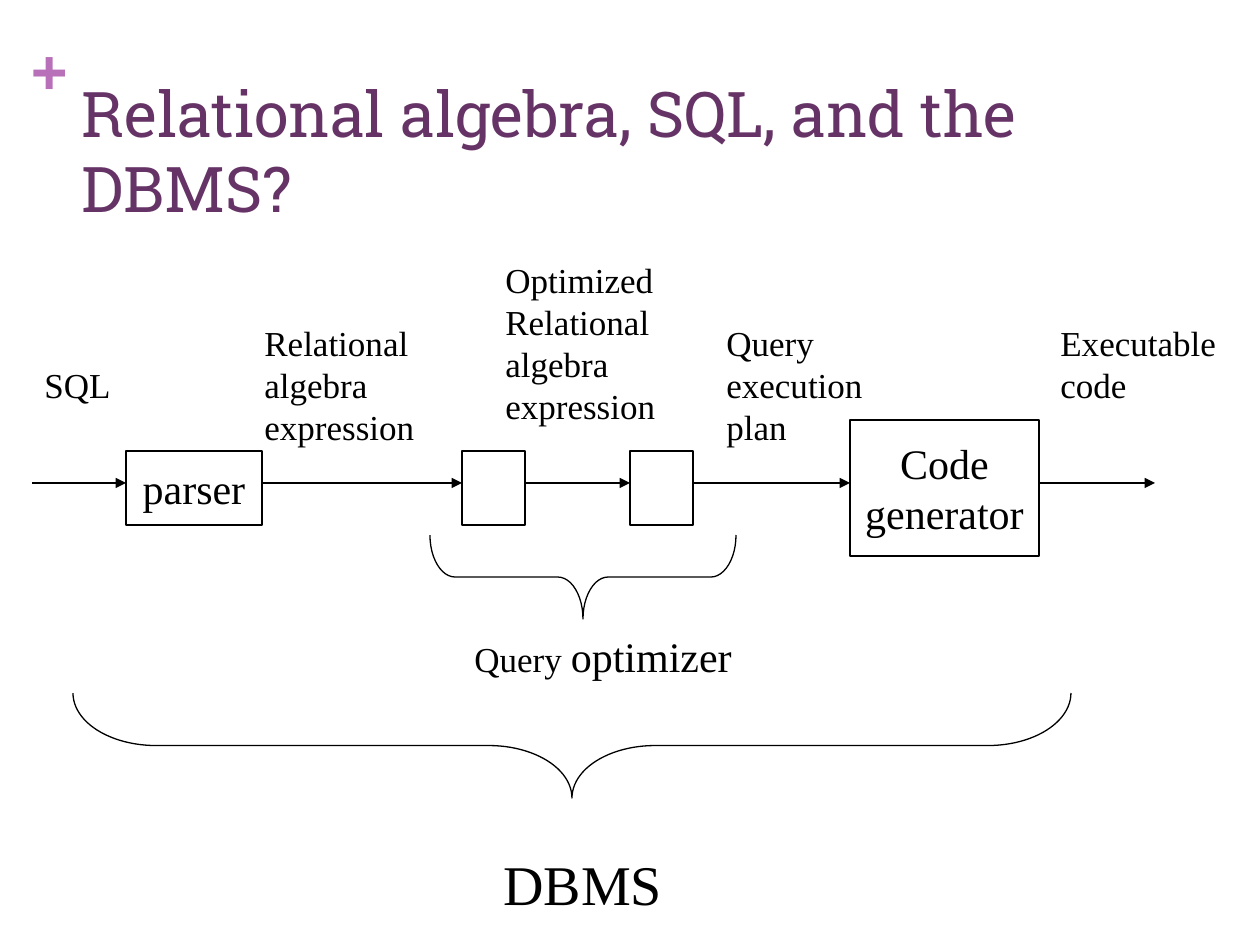
"""Build the slide that follows a query from SQL through the DBMS to code."""
from dataclasses import dataclass

import pptx
import pptx.dml.color
import pptx.enum.shapes
import pptx.enum.text
import pptx.oxml
import pptx.oxml.ns
import pptx.util
from pptx.enum.shapes import MSO_CONNECTOR, MSO_SHAPE
from pptx.enum.text import MSO_ANCHOR, MSO_AUTO_SIZE, PP_ALIGN

SCALE = 914400 / 126


@dataclass(frozen=True)
class Theme:
    ink: str = "000000"
    paper: str = "FFFFFF"
    title: str = "663366"
    plus: str = "B870B8"
    serif: str = "Times New Roman"
    slab: str = "Roboto Slab"
    sans: str = "Arial"
    small: int = 20
    large: int = 24
    huge: int = 32
    head: int = 36
    line: float = 0.75


@dataclass(frozen=True)
class Area:
    x: int
    y: int
    w: int
    h: int


@dataclass(frozen=True)
class Box:
    area: Area
    text: str = ""


@dataclass(frozen=True)
class Label:
    area: Area
    text: str
    size: int


@dataclass(frozen=True)
class Brace:
    area: Area
    curve: float


THEME = Theme()
FLOW = 483

BOXES = (
    Box(Area(126, 451, 136, 74), "parser"),
    Box(Area(462, 451, 63, 74)),
    Box(Area(630, 451, 63, 74)),
    Box(Area(850, 420, 189, 136), "Code\ngenerator"),
)

LABELS = (
    Label(Area(32, 357, 91, 55), "SQL", THEME.small),
    Label(Area(252, 315, 175, 139), "Relational\nalgebra\nexpression", THEME.small),
    Label(Area(493, 252, 175, 181), "Optimized\nRelational\nalgebra\nexpression", THEME.small),
    Label(Area(714, 315, 161, 139), "Query\nexecution\nplan", THEME.small),
    Label(Area(1048, 315, 180, 97), "Executable\ncode", THEME.small),
    Label(Area(491, 843, 184, 81), "DBMS", THEME.huge),
)

BRACES = (
    Brace(Area(430, 535, 306, 84), 0.3),
    Brace(Area(73, 693, 998, 105), 0.79),
)


def px(count: float) -> int:
    """Turn pixels into EMU."""
    return round(count * SCALE)


def place(area: Area) -> tuple:
    """Give an area as left, top, width and height in EMU."""
    return px(area.x), px(area.y), px(area.w), px(area.h)


def tint(code: str):
    """Give a colour from its hex code."""
    return pptx.dml.color.RGBColor.from_string(code)


def style(font, face: str, size: int, code: str, bold: bool = False) -> None:
    """Set face, size, colour and weight of a font."""
    font.name = face
    font.size = pptx.util.Pt(size)
    font.color.rgb = tint(code)
    font.bold = bold


def stroke(line) -> None:
    """Give a line the common colour and width."""
    line.color.rgb = tint(THEME.ink)
    line.width = pptx.util.Pt(THEME.line)


def draw_title(slide, text: str) -> None:
    """Move and format the title placeholder."""
    title = slide.shapes.title
    title.left, title.top, title.width, title.height = place(Area(69, 67, 1041, 154))
    frame = title.text_frame
    frame.text = text
    frame.word_wrap = True
    frame.auto_size = MSO_AUTO_SIZE.NONE
    frame.vertical_anchor = MSO_ANCHOR.TOP
    frame.margin_top = px(7)
    para = frame.paragraphs[0]
    para.alignment = PP_ALIGN.LEFT
    style(para.font, THEME.slab, THEME.head, THEME.title)


def draw_plus(slide) -> None:
    """Draw the plus sign beside the title."""
    frame = slide.shapes.add_textbox(*place(Area(31, 32, 35, 76))).text_frame
    frame.margin_left = frame.margin_right = frame.margin_top = frame.margin_bottom = 0
    frame.text = "+"
    style(frame.paragraphs[0].font, THEME.sans, THEME.head, THEME.plus, True)


def draw_box(slide, box: Box) -> None:
    """Draw one stage of the flow."""
    shape = slide.shapes.add_shape(MSO_SHAPE.RECTANGLE, *place(box.area))
    shape.shadow.inherit = False
    shape.fill.solid()
    shape.fill.fore_color.rgb = tint(THEME.paper)
    stroke(shape.line)
    frame = shape.text_frame
    frame.text = box.text
    frame.word_wrap = False
    frame.vertical_anchor = MSO_ANCHOR.MIDDLE
    for para in frame.paragraphs:
        para.alignment = PP_ALIGN.CENTER
        style(para.font, THEME.serif, THEME.large, THEME.ink)


def draw_label(slide, label: Label):
    """Draw a label and return its text frame."""
    frame = slide.shapes.add_textbox(*place(label.area)).text_frame
    frame.text = label.text
    frame.word_wrap = True
    frame.auto_size = MSO_AUTO_SIZE.NONE
    frame.margin_right = 0
    for para in frame.paragraphs:
        style(para.font, THEME.serif, label.size, THEME.ink)
    return frame


def draw_arrow(slide, start: int, end: int) -> None:
    """Draw an arrow along the flow."""
    arrow = slide.shapes.add_connector(
        MSO_CONNECTOR.STRAIGHT, px(start), px(FLOW), px(end), px(FLOW))
    stroke(arrow.line)
    tail = pptx.oxml.parse_xml(
        f'<a:tailEnd {pptx.oxml.ns.nsdecls("a")} type="triangle"/>')
    arrow.line._get_or_add_ln().append(tail)
    arrow._element.spPr.append(
        pptx.oxml.parse_xml(f'<a:effectLst {pptx.oxml.ns.nsdecls("a")}/>'))


def draw_brace(slide, brace: Brace) -> None:
    """Draw a brace that points down, turned about its centre."""
    area = brace.area
    shift = (area.w - area.h) / 2
    shape = slide.shapes.add_shape(
        MSO_SHAPE.LEFT_BRACE, px(area.x + shift), px(area.y - shift),
        px(area.h), px(area.w))
    shape.rotation = 270
    shape.adjustments[0] = brace.curve
    shape.shadow.inherit = False
    shape.fill.background()
    stroke(shape.line)


def main() -> None:
    """Build and save the slide."""
    deck = pptx.Presentation()
    deck.slide_width, deck.slide_height = px(1260), px(945)
    slide = deck.slides.add_slide(deck.slide_layouts[5])
    draw_title(slide, "Relational algebra, SQL, and the DBMS?")
    draw_plus(slide)
    for box in BOXES:
        draw_box(slide, box)
    for label in LABELS:
        draw_label(slide, label)
    frame = draw_label(slide, Label(Area(462, 624, 282, 63), "Query ", THEME.small))
    run = frame.paragraphs[0].add_run()
    run.text = "optimizer"
    run.font.size = pptx.util.Pt(THEME.large)
    starts = [32] + [box.area.x + box.area.w for box in BOXES]
    ends = [box.area.x for box in BOXES] + [1155]
    for start, end in zip(starts, ends):
        draw_arrow(slide, start, end)
    for brace in BRACES:
        draw_brace(slide, brace)
    deck.save("out.pptx")


if __name__ == "__main__":
    main()
